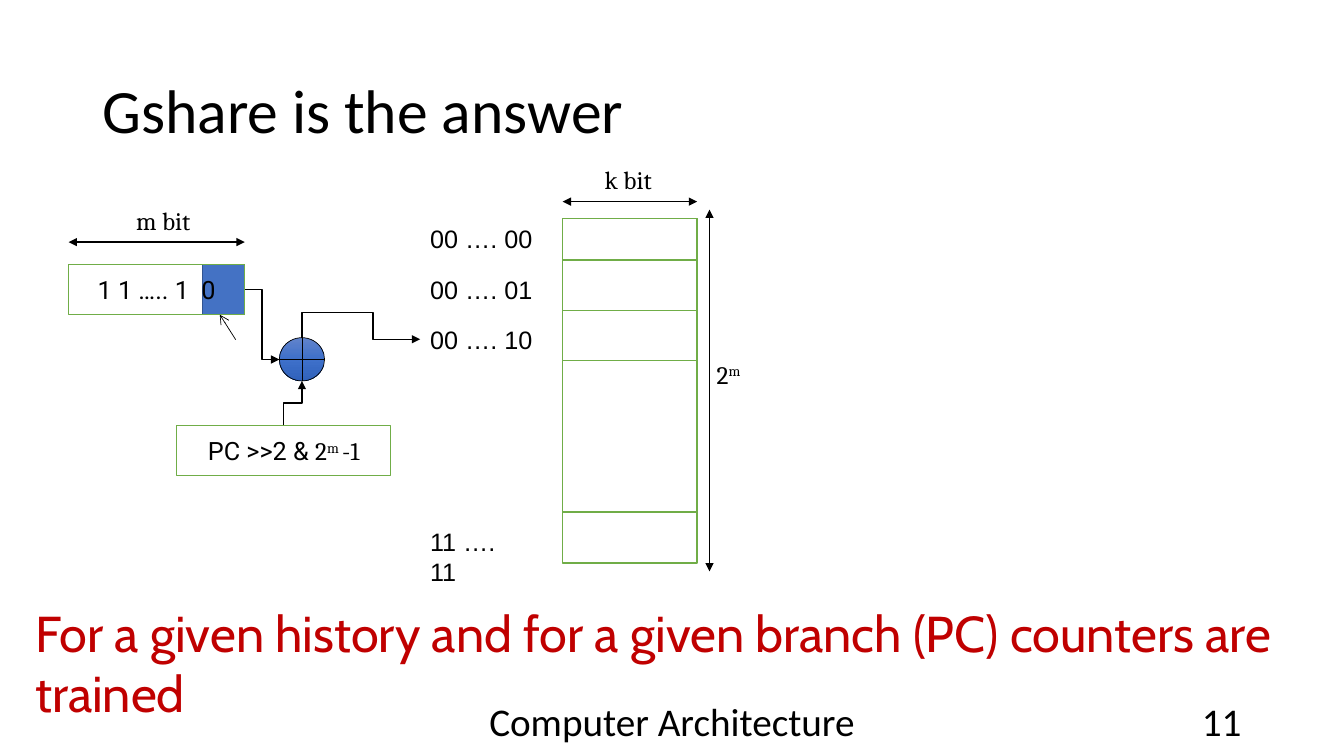
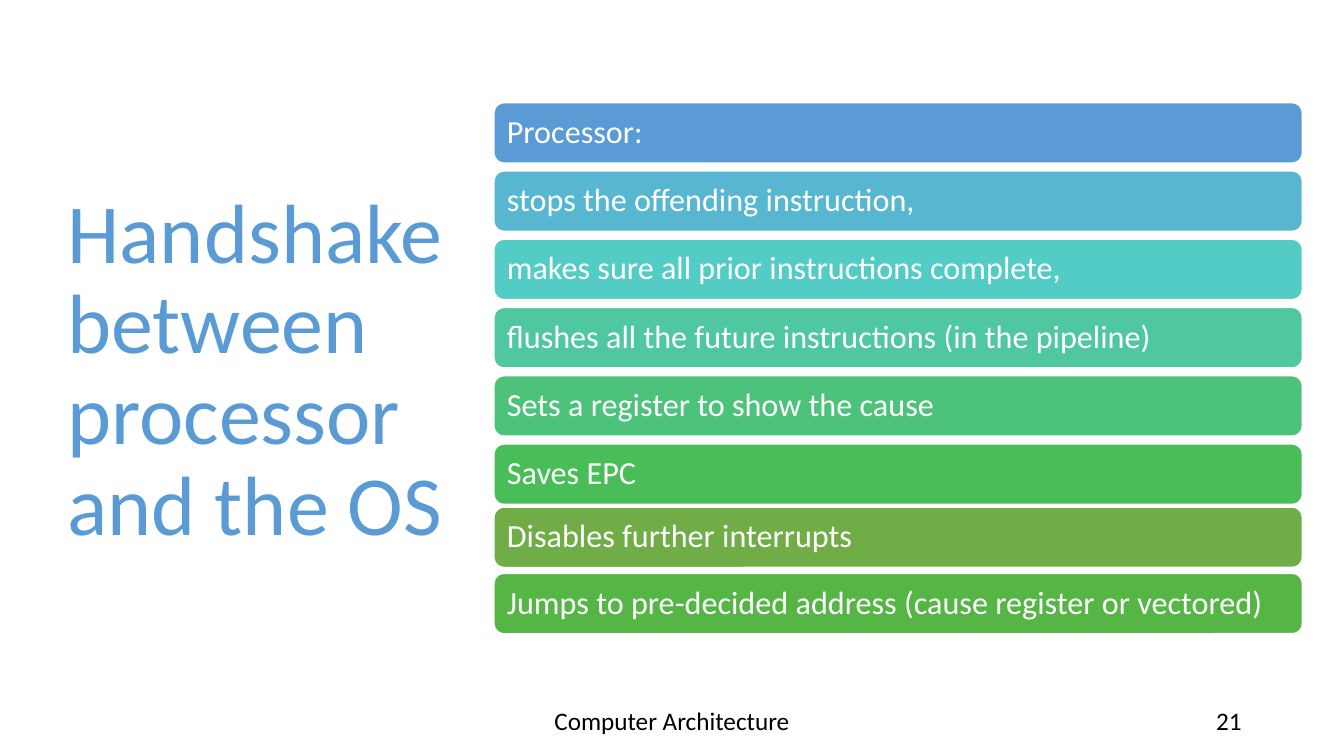
from copy import deepcopy

from pptx import Presentation
from pptx.dml.color import RGBColor
from pptx.enum import shapes, text
from pptx.oxml import ns, xmlchemy
from pptx.util import Cm, Pt

BLACK = RGBColor(0x00, 0x00, 0x00)
WHITE = RGBColor(0xFF, 0xFF, 0xFF)
RED = RGBColor(0xC0, 0x00, 0x00)
SKY = RGBColor(0x5B, 0x9B, 0xD5)
BLUE = RGBColor(0x44, 0x72, 0xC4)
NAVY = RGBColor(0x32, 0x54, 0x91)
GREEN = RGBColor(0x70, 0xAD, 0x47)
XOR_GRADIENT = [
    (0, RGBColor(0x61, 0x83, 0xCB)),
    (0.5, RGBColor(0x3E, 0x70, 0xCA)),
    (1, RGBColor(0x30, 0x62, 0xBB)),
]
STEPS = [
    ("Processor:", SKY),
    ("stops the offending instruction,", RGBColor(0x57, 0xB7, 0xD1)),
    ("makes sure all prior instructions complete,", RGBColor(0x53, 0xCC, 0xC5)),
    ("flushes all the future instructions (in the pipeline)", RGBColor(0x4F, 0xC7, 0xA0)),
    ("Sets a register to show the cause", RGBColor(0x4C, 0xC2, 0x7B)),
    ("Saves EPC", RGBColor(0x48, 0xBD, 0x58)),
    ("Disables further interrupts", GREEN),
    ("Jumps to pre-decided address (cause register or vectored)", RGBColor(0x55, 0xB6, 0x46)),
]

LEFT, CENTER, RIGHT = text.PP_ALIGN.LEFT, text.PP_ALIGN.CENTER, text.PP_ALIGN.RIGHT
TOP, MIDDLE = text.MSO_ANCHOR.TOP, text.MSO_ANCHOR.MIDDLE
RECTANGLE = shapes.MSO_SHAPE.RECTANGLE
STRAIGHT, ELBOW = shapes.MSO_CONNECTOR.STRAIGHT, shapes.MSO_CONNECTOR.ELBOW


class Deck:
    """Holds the shared style and the slide being built; lengths are centimetres."""

    body_font = "Calibri"

    def __init__(self):
        self.presentation = Presentation()
        self.presentation.slide_width = Cm(33.87)
        self.presentation.slide_height = Cm(19.05)
        self.slide = None

    def new_slide(self, number, footer_size):
        self.slide = self.presentation.slides.add_slide(self.presentation.slide_layouts[6])
        for content, left, width, align in (
            ("Computer Architecture", 11.22, 11.43, CENTER),
            (str(number), 23.92, 7.62, RIGHT),
        ):
            self.label(content, (left, 17.66, width, 1.01), size=footer_size,
                       align=align, anchor=MIDDLE)

    def set_text(self, frame, content, font=body_font, size=18, color=BLACK,
                 align=LEFT, anchor=TOP, spacing=1.0):
        """Fill a frame with a string or with (text, font, is_superscript) runs."""
        frame.vertical_anchor = anchor
        paragraph = frame.paragraphs[0]
        paragraph.alignment = align
        paragraph.line_spacing = spacing
        paragraph.font.size = Pt(size)
        paragraph.font.color.rgb = color
        paragraph.font.name = font
        if isinstance(content, str):
            content = [(content, None, False)]
        for words, run_font, superscript in content:
            run = paragraph.add_run()
            run.text = words
            if run_font:
                run.font.name = run_font
            if superscript:
                run.font._element.set("baseline", "30000")

    def label(self, content, box, wrap=True, **style):
        frame = self.slide.shapes.add_textbox(*map(Cm, box)).text_frame
        frame.word_wrap = wrap
        self.set_text(frame, content, **style)

    def title(self, content, box, size, color=BLACK):
        self.label(content, box, size=size, color=color, anchor=MIDDLE, spacing=0.9)

    def shape(self, kind, box, fill=None, line=GREEN, weight=1.0, content=None, **style):
        shape = self.slide.shapes.add_shape(kind, *map(Cm, box))
        shape.shadow.inherit = False
        if fill is None:
            shape.fill.background()
        else:
            shape.fill.solid()
            shape.fill.fore_color.rgb = fill
        shape.line.color.rgb = line
        shape.line.width = Pt(weight)
        if content:
            self.set_text(shape.text_frame, content, anchor=MIDDLE, **style)
        return shape

    def xor_gate(self, box):
        gate = self.shape(shapes.MSO_SHAPE.FLOWCHART_OR, box, line=BLACK, weight=0.5)
        gate.fill.gradient()
        gate.fill.gradient_angle = 270
        stop_list = gate.element.spPr.find(".//" + ns.qn("a:gsLst"))
        stop_list.insert(1, deepcopy(stop_list[0]))
        for stop, (position, color) in zip(gate.fill.gradient_stops, XOR_GRADIENT):
            stop.position = position
            stop.color.rgb = color

    def arrow(self, begin, end, kind=STRAIGHT, weight=1.0, head=None, tail="triangle"):
        connector = self.slide.shapes.add_connector(kind, *map(Cm, (*begin, *end)))
        connector.line.color.rgb = BLACK
        connector.line.width = Pt(weight)
        properties = connector.element.spPr
        line = properties.find(ns.qn("a:ln"))
        for tag, arrowhead in (("a:headEnd", head), ("a:tailEnd", tail)):
            if arrowhead:
                line.append(xmlchemy.OxmlElement(tag))
                line[-1].set("type", arrowhead)
        properties.append(xmlchemy.OxmlElement("a:effectLst"))
        return connector

    def measure(self, begin, end):
        self.arrow(begin, end, head="triangle")

    def upright_elbow(self, begin, end, bends=(0.5,)):
        """Bent arrow that leaves vertically: a horizontal one turned by 90 degrees."""
        middle_x, middle_y = ((a + b) / 2 for a, b in zip(begin, end))
        turned = [(middle_x + y - middle_y, middle_y - x + middle_x) for x, y in (begin, end)]
        properties = self.arrow(*turned, kind=ELBOW).element.spPr
        properties.find(ns.qn("a:xfrm")).set("rot", str(90 * 60000))
        geometry = properties.find(ns.qn("a:prstGeom"))
        geometry.set("prst", f"bentConnector{len(bends) + 2}")
        guides = geometry.find(ns.qn("a:avLst"))
        for index, bend in enumerate(bends, 1):
            guide = xmlchemy.OxmlElement("a:gd")
            guide.set("name", f"adj{index}")
            guide.set("fmla", f"val {round(bend * 100000)}")
            guides.append(guide)


def build_gshare(deck):
    deck.new_slide(11, footer_size=28)
    deck.title("Gshare is the answer", (2.33, 1.01, 29.21, 3.68), size=44)

    # History register
    deck.shape(RECTANGLE, (5.11, 6.66, 1.06, 1.27), fill=BLUE, line=NAVY)
    deck.shape(RECTANGLE, (1.73, 6.66, 4.44, 1.27), content="1 1 ….. 1  0",
               font="Roboto", align=CENTER)
    deck.arrow((5.94, 8.56), (5.54, 7.93), weight=0.5, tail="arrow")

    # Counter table
    table_left, table_top, table_width, row = 14.18, 5.51, 3.39, 1.27
    row_tops = [table_top] + [6.55 + row * index for index in (0, 1, 5)]
    for top, height in [(table_top, 8.68)] + [(top, row) for top in row_tops]:
        deck.shape(RECTANGLE, (table_left, top, table_width, height), fill=WHITE)
    for index, address in ((0, "00 …. 00"), (1, "00 …. 01"), (2, "00 …. 10"), (6, "11 ….  11")):
        deck.label(address, (10.59, table_top + row * index, 3.15, 1.02),
                   wrap=False, font="Arial")

    # Dimensions
    deck.measure((1.73, 6.1), (6.17, 6.1))
    deck.measure((table_left, 5.08), (table_left + table_width, 5.08))
    deck.measure((17.88, 5.28), (17.88, 14.4))
    for content, box in (
        ("m bit", (3.18, 5.05, 1.93, 1.02)),
        ("k bit", (14.99, 4.01, 1.75, 1.02)),
        ([("2", None, False), ("m", None, True)], (17.81, 8.92, 1.37, 1.02)),
    ):
        deck.label(content, box, wrap=False, font="Cambria")

    # Index computation
    deck.shape(RECTANGLE, (4.45, 10.72, 5.4, 1.27), font="Roboto", align=CENTER, content=[
        ("PC >>2 & ", None, False),
        ("2", "Cambria", False),
        ("m ", "Cambria", True),
        ("-1", "Cambria", False),
    ])
    deck.xor_gate((7.04, 8.51, 1.14, 1.09))
    deck.arrow((6.17, 7.29), (7.04, 9.06), kind=ELBOW)
    deck.upright_elbow((7.15, 10.72), (7.61, 9.6))
    deck.upright_elbow((7.61, 8.51), (10.59, 8.55), bends=(-16, 0.6))

    deck.label("For a given history and for a given branch (PC) counters are trained",
               (0.64, 15.04, 33.22, 3.33), font="Cabin", size=36, color=RED)


def build_handshake(deck):
    deck.new_slide(21, footer_size=18)
    deck.title("Handshake between processor and the OS", (1.45, 1.73, 10.57, 15.29),
               size=60, color=SKY)
    bar_tops = [2.59 + 1.72 * index for index in range(6)] + [12.78, 14.45]
    for top, (step, color) in zip(bar_tops, STEPS):
        deck.shape(shapes.MSO_SHAPE.ROUNDED_RECTANGLE, (12.45, top, 20.37, 1.52),
                   fill=color, line=WHITE, content=step, size=23, color=WHITE, spacing=0.9)


def main():
    deck = Deck()
    build_gshare(deck)
    build_handshake(deck)
    deck.presentation.save("out.pptx")


if __name__ == "__main__":
    main()
